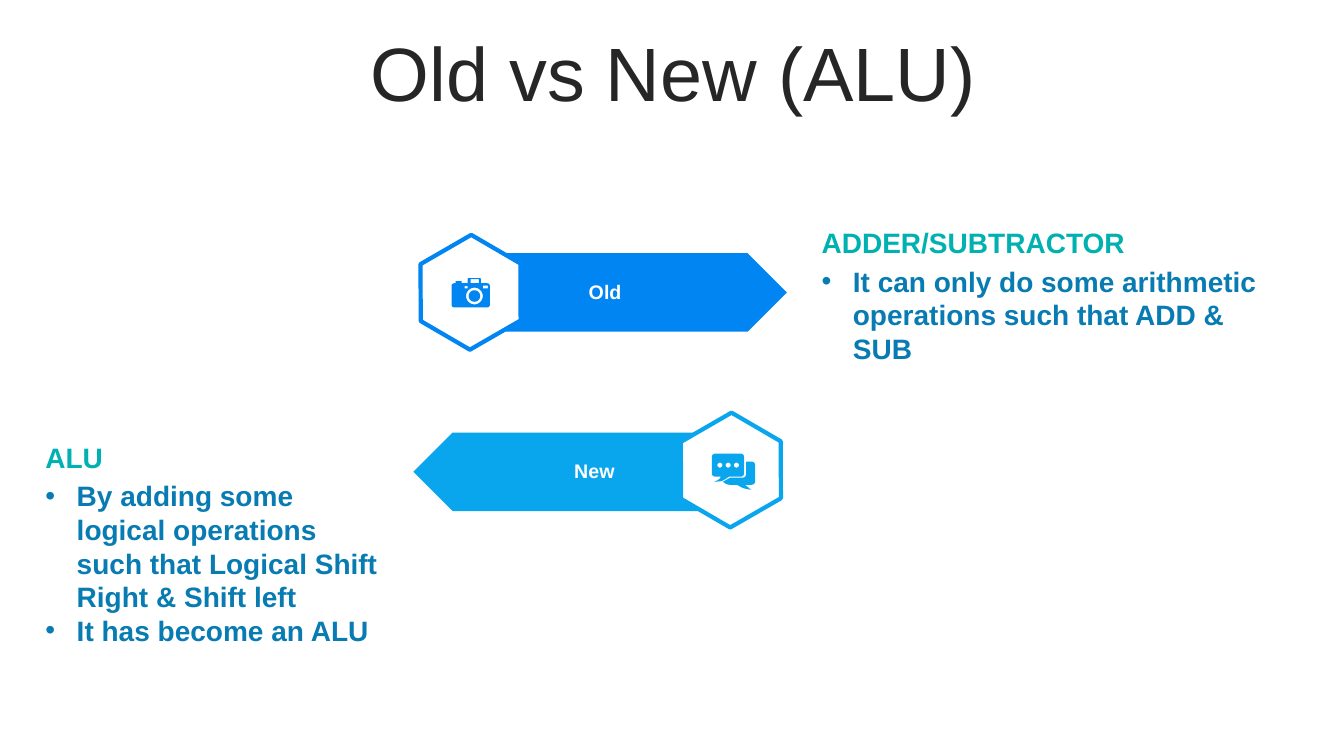
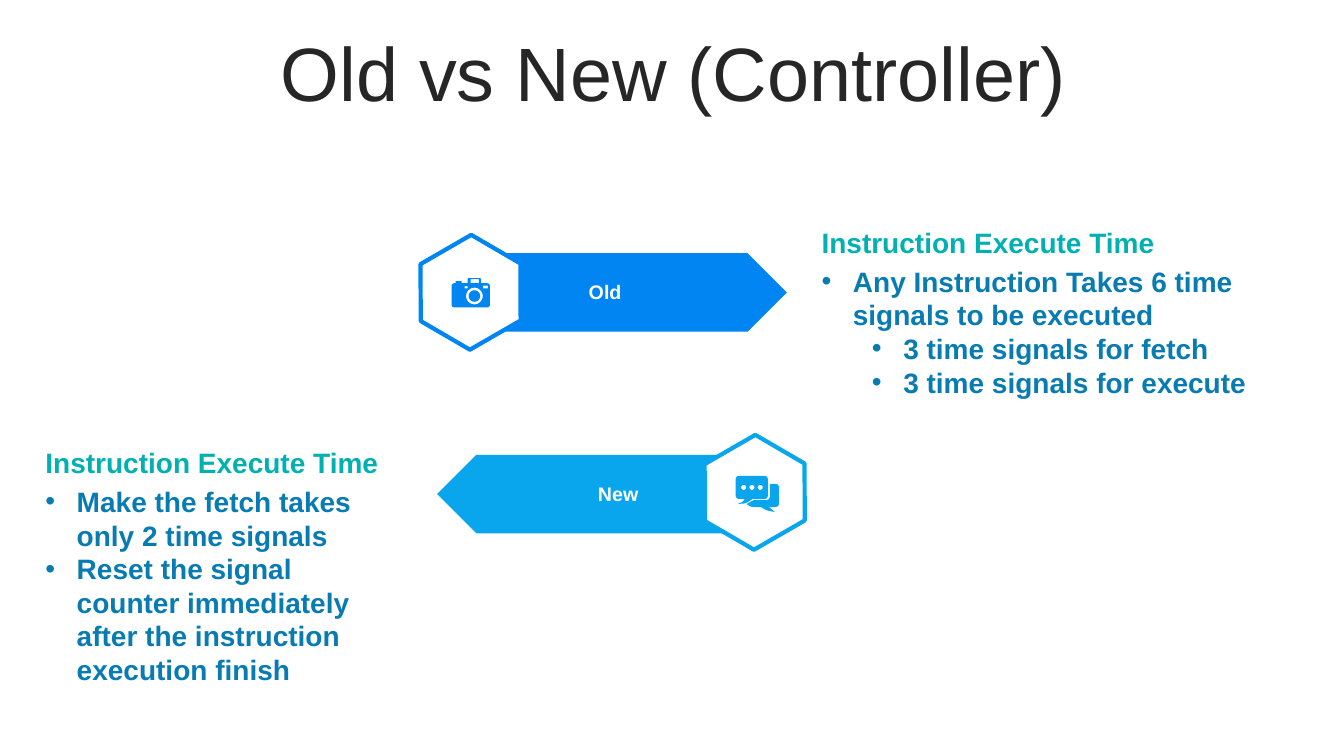
import math
from dataclasses import dataclass

from lxml import etree
from pptx import Presentation
from pptx.dml.color import RGBColor
from pptx.enum import shapes, text
from pptx.oxml import ns
from pptx.util import Cm, Pt


@dataclass(frozen=True)
class Theme:
    font: str = "Arial"
    ink: str = "262626"
    white: str = "FFFFFF"
    old: str = "0085F2"
    new: str = "0AA6ED"
    heading: str = "01B1B1"
    body: str = "087CB2"
    title_size: int = 54
    body_size: int = 20
    label_size: int = 14


THEME = Theme()
ICON_UNIT = 0.0254  # cm per icon grid step


# Icon outlines, on a grid measured from the icon's top left corner
def circle(x, y, radius, steps=32):
    angles = [2 * math.pi * i / steps for i in range(steps)]
    return [(x + radius * math.cos(a), y + radius * math.sin(a)) for a in angles]


def box(left, top, right, bottom):
    return [(left, top), (right, top), (right, bottom), (left, bottom)]


def rounded(corners, steps=6):
    """Outline through (x, y, radius) corners, each eased by a quadratic curve."""
    outline = []
    for i, (x, y, radius) in enumerate(corners):
        if not radius:
            outline.append((x, y))
            continue
        ends = []
        for nx, ny, _ in (corners[i - 1], corners[(i + 1) % len(corners)]):
            share = radius / math.hypot(nx - x, ny - y)
            ends.append((x + (nx - x) * share, y + (ny - y) * share))
        (ax, ay), (bx, by) = ends
        for step in range(steps + 1):
            t = step / steps
            a, c, b = (1 - t) ** 2, 2 * t * (1 - t), t ** 2
            outline.append((a * ax + c * x + b * bx, a * ay + c * y + b * by))
    return outline


CAMERA = [
    rounded([(16, 0, 1), (29, 0, 1), (29, 5, 0), (38, 5, 3), (38, 29, 3),
             (0, 29, 3), (0, 5, 3), (4, 5, 0), (4, 3, 0), (10, 3, 0),
             (10, 5, 0), (16, 5, 0)]),
    circle(22.7, 17.7, 8.3),
    circle(22.7, 17.7, 5.7),
    box(13, 8, 16, 10),
    box(31, 7.5, 36, 10),
    box(19, 1, 27, 5),
]
CHAT = [
    rounded([(0, 0, 4), (32, 0, 4), (32, 23, 4), (17, 23, 0), (10, 27.5, 3),
             (2, 28, 0), (7, 26, 2), (9, 23, 0), (0, 23, 4)]),
    rounded([(34, 8, 0), (43, 8, 4), (43, 31, 4), (33, 31, 0), (39, 36, 0),
             (31, 34.5, 3), (25, 31, 0), (15, 31, 3), (11, 28, 0),
             (18, 24, 0), (34, 24, 4)]),
    *[circle(x, 11.5, 2.5) for x in (8, 16.2, 24.4)],
]


@dataclass(frozen=True)
class Arrow:
    """Parts of a labelled arrow; offsets in cm from the plate's corner."""
    label: str
    color: str
    icon: list
    hexagon: tuple
    label_left: float
    icon_at: tuple
    flipped: bool = False


OLD = Arrow("Old", THEME.old, CAMERA, (-1.55, -0.26), 1.65, (-0.58, 0.63))
NEW = Arrow("New", THEME.new, CHAT, (6.55, -0.3), 2.92, (7.52, 0.53), True)


def write(paragraph, words, *, size, color, bold=False, align=None,
          before=0, spacing=None):
    paragraph.alignment = align
    paragraph.space_before = Pt(before)
    paragraph.line_spacing = spacing
    run = paragraph.add_run()
    run.text = words
    font = run.font
    font.name, font.size, font.bold = THEME.font, Pt(size), bold
    font.color.rgb = RGBColor.from_string(color)


def add_bullet(paragraph, level):
    paragraph.level = level
    props = paragraph._p.get_or_add_pPr()
    props.set("marL", str(Cm(0.79 + 1.27 * level)))
    props.set("indent", str(-Cm(0.79)))
    etree.SubElement(props, ns.qn("a:buFont")).set("typeface", THEME.font)
    etree.SubElement(props, ns.qn("a:buChar")).set("char", "•")


def place(shape, left, top, width, height):
    shape.left, shape.top = Cm(left), Cm(top)
    shape.width, shape.height = Cm(width), Cm(height)


def paint(shape, fill, line=None):
    shape.shadow.inherit = False
    shape.fill.solid()
    shape.fill.fore_color.rgb = RGBColor.from_string(fill)
    if line:
        shape.line.color.rgb = RGBColor.from_string(line)
        shape.line.width = Pt(3)
    else:
        shape.line.fill.background()


class Deck:
    def __init__(self):
        self.prs = Presentation()
        self.prs.slide_width, self.prs.slide_height = Cm(33.87), Cm(19.05)
        self.slide = None

    def start(self, title):
        comparison = self.prs.slide_layouts[4]
        self.slide = self.prs.slides.add_slide(comparison)
        self.frame(0, text.MSO_ANCHOR.MIDDLE, 0.89, 0.94, 32.16, 2.01)
        write(self.slide.shapes.title.text_frame.paragraphs[0], title,
              size=THEME.title_size, color=THEME.ink, before=10, spacing=0.9,
              align=text.PP_ALIGN.CENTER)

    def frame(self, index, anchor, *box_cm):
        """Move the placeholder with this index and return its text frame."""
        holder = next(p for p in self.slide.placeholders
                      if p.placeholder_format.idx == index)
        place(holder, *box_cm)
        frame = holder.text_frame
        frame.word_wrap = True
        frame.auto_size = text.MSO_AUTO_SIZE.NONE
        frame.vertical_anchor = anchor
        return frame

    def headed_list(self, index, left, top, width, height, heading, items):
        """Heading in placeholder index, its list in the one after."""
        top_anchor = text.MSO_ANCHOR.TOP
        style = dict(size=THEME.body_size, bold=True)
        head = self.frame(index, top_anchor, left, top, 12.17, 1.12)
        write(head.paragraphs[0], heading, color=THEME.heading, **style)
        body = self.frame(index + 1, top_anchor, left, top + 0.97, width, height)
        for i, (level, words) in enumerate(items):
            paragraph = body.add_paragraph() if i else body.paragraphs[0]
            write(paragraph, words, color=THEME.body, **style)
            add_bullet(paragraph, level)

    def arrow(self, arrow, left, top):
        parts = self.slide.shapes.add_group_shape().shapes
        plate = parts.add_shape(shapes.MSO_SHAPE.PENTAGON, Cm(left), Cm(top),
                                Cm(7.87), Cm(1.98))
        paint(plate, arrow.color)
        if arrow.flipped:
            plate._element.spPr.xfrm.set("flipH", "1")

        dx, dy = arrow.hexagon
        badge = parts.add_shape(shapes.MSO_SHAPE.HEXAGON, Cm(left + dx),
                                Cm(top + dy), Cm(2.9), Cm(2.49))
        badge.adjustments[0], badge.adjustments[1] = 0.286, 1.155
        badge.rotation = 330
        paint(badge, THEME.white, arrow.color)

        label = parts.add_textbox(Cm(left + arrow.label_left), Cm(top + 0.55),
                                  Cm(3.28), Cm(0.86))
        label.text_frame.word_wrap = True
        write(label.text_frame.paragraphs[0], arrow.label, bold=True,
              size=THEME.label_size, color=THEME.white,
              align=text.PP_ALIGN.CENTER)

        dx, dy = arrow.icon_at
        self.icon(arrow.icon, arrow.color, left + dx, top + dy)

    def icon(self, outlines, color, left, top):
        scaled = [[(Cm(x * ICON_UNIT), Cm(y * ICON_UNIT)) for x, y in outline]
                  for outline in outlines]
        pen = self.slide.shapes.build_freeform(*scaled[0][0])
        for i, (first, *rest) in enumerate(scaled):
            if i:
                pen.move_to(*first)
            pen.add_line_segments(rest, close=True)
        paint(pen.convert_to_shape(Cm(left), Cm(top)), color)


def main():
    deck = Deck()

    # ALU
    deck.start("Old vs New (ALU)")
    deck.arrow(OLD, 11.96, 6.38)
    deck.arrow(NEW, 10.42, 10.9)
    deck.headed_list(3, 20.45, 5.56, 12.17, 2.82, "ADDER/SUBTRACTOR", [
        (0, "It can only do some arithmetic operations such that ADD & SUB"),
    ])
    deck.headed_list(1, 0.89, 10.97, 9.19, 4.52, "ALU", [
        (0, "By adding some logical operations such that Logical Shift "
            "Right & Shift left"),
        (0, "It has become an ALU"),
    ])

    # Controller
    deck.start("Old vs New (Controller)")
    deck.arrow(OLD, 11.96, 6.38)
    deck.arrow(NEW, 11.02, 11.46)
    deck.headed_list(3, 20.45, 5.56, 12.17, 3.68, "Instruction Execute Time", [
        (0, "Any Instruction Takes 6 time signals to be executed"),
        (1, "3 time signals for fetch"),
        (1, "3 time signals for execute"),
    ])
    deck.headed_list(1, 0.89, 11.11, 9.19, 5.38, "Instruction Execute Time", [
        (0, "Make the fetch takes only 2 time signals"),
        (0, "Reset the signal counter immediately after the instruction "
            "execution finish"),
    ])

    deck.prs.save("out.pptx")


if __name__ == "__main__":
    main()
